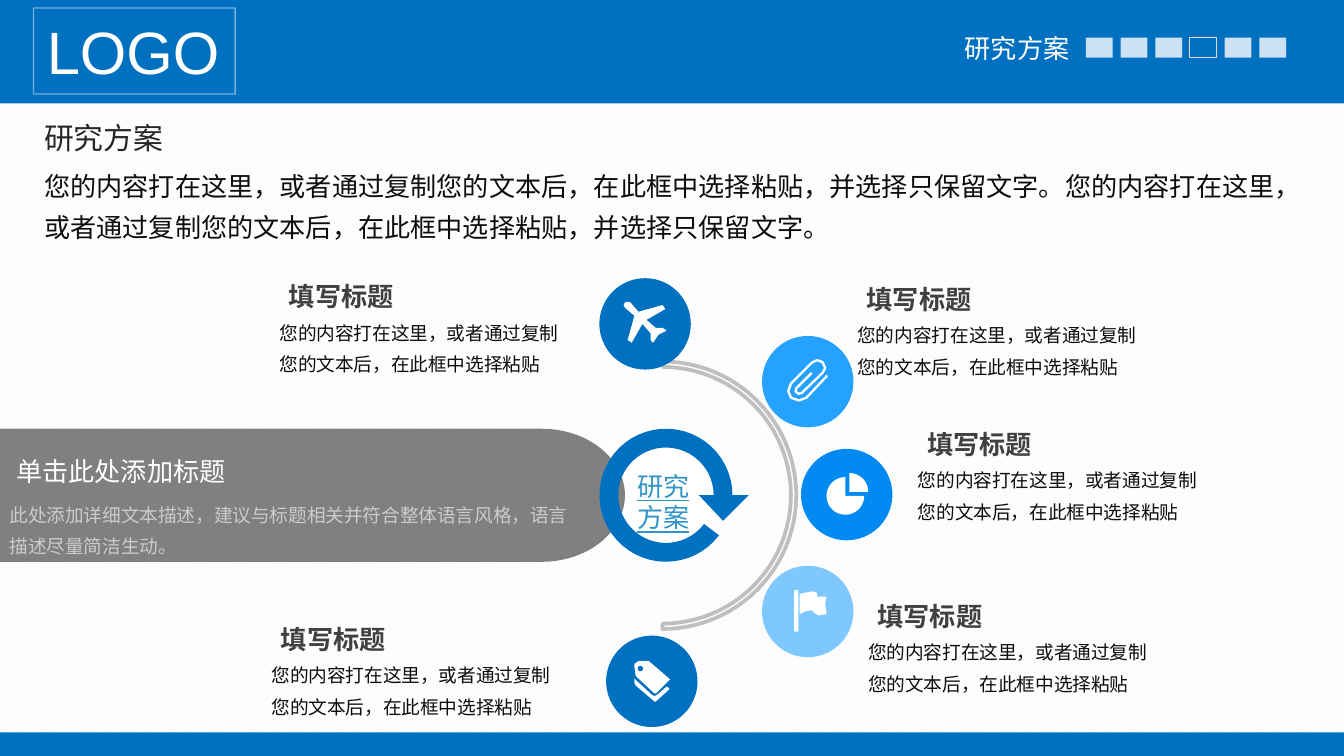
from math import cos, radians, sin

from lxml.etree import SubElement
from pptx import Presentation
from pptx.dml.color import RGBColor
from pptx.enum.dml import MSO_PATTERN
from pptx.enum.shapes import MSO_SHAPE as Preset
from pptx.enum.text import PP_ALIGN as Align
from pptx.oxml.ns import qn
from pptx.util import Inches, Pt

CELL = Inches(0.1)
COLUMNS, ROWS = 100, 56.25
BLUE, WHITE, INK = "0070C0", "FFFFFF", "0D0D0D"
CAPTION = "您的内容打在这里，或者通过复制您的文本后，在此框中选择粘贴"


def cells(*counts):
    return [round(count * CELL) for count in counts]


def inside(box, left, top, width, height):
    return box[0] + left, box[1] + top, width, height


def arc(x, y, radius, start, end, radius_y=None, steps=48):
    angles = [radians(start + (end - start) * i / steps) for i in range(steps + 1)]
    return [(x + radius * cos(a), y + (radius_y or radius) * sin(a)) for a in angles]


def set_color(target, color, opacity=100):
    target.rgb = RGBColor.from_string(color)
    if opacity < 100:
        srgb = next(target._xFill.iter(qn("a:srgbClr")))
        SubElement(srgb, qn("a:alpha")).set("val", str(opacity * 1000))


def paint(shape, fill=None, line=None, weight=1, opacity=100):
    if fill:
        shape.fill.solid()
        set_color(shape.fill.fore_color, fill, opacity)
    else:
        shape.fill.background()
    if line:
        shape.line.width = Pt(weight)
        shape.line.fill.solid()
        set_color(shape.line.fill.fore_color, line, opacity)
    else:
        shape.line.fill.background()


def draw(slide, preset, box, **style):
    shape = slide.shapes.add_shape(preset, *cells(*box))
    shape.shadow.inherit = False
    paint(shape, **style)


def outline(slide, box, points, close=True, **style):
    corners = [cells(box[0] + x, box[1] + y) for x, y in points]
    builder = slide.shapes.build_freeform(*corners[0], scale=1.0)
    builder.add_line_segments(corners[1:], close=close)
    shape = builder.convert_to_shape()
    shape.shadow.inherit = False
    paint(shape, **style)


def write(slide, content, box, size=14, color=WHITE, opacity=100, bold=False,
          underline=False, align=Align.LEFT, spacing=None, margins=(0.5, 0.5), wrap=True):
    label = slide.shapes.add_textbox(*cells(*box))
    frame = label.text_frame
    frame.word_wrap = wrap
    frame.margin_left = frame.margin_right = cells(margins[0])[0]
    frame.margin_top = frame.margin_bottom = cells(margins[1])[0]
    paragraph = frame.paragraphs[0]
    paragraph.alignment = align
    paragraph.line_spacing = spacing
    run = paragraph.add_run()
    run.text = content
    run.font.name = "Arial"
    run.font.size = Pt(size)
    run.font.bold = bold
    run.font.underline = underline
    run.font.fill.solid()
    set_color(run.font.fill.fore_color, color, opacity)
    return label


def header(slide, box):
    draw(slide, Preset.RECTANGLE, box, fill=BLUE)
    write(slide, "研究方案", inside(box, 70.8, 1.9, 10, 3.4), margins=(1, 0.5), wrap=False)
    for step in range(6):
        style = {"line": "D9D9D9", "weight": 0.5} if step == 3 else {"fill": WHITE, "opacity": 80}
        draw(slide, Preset.RECTANGLE, inside(box, 80.8 + step * 2.58, 2.8, 2, 1.5), **style)
    logo = write(slide, "LOGO", inside(box, 2.5, 0.6, 15, 6.4), size=32, margins=(1, 0.5), wrap=False)
    paint(logo, line=WHITE, weight=0.75, opacity=46)


def introduction(slide, box):
    write(slide, "研究方案", inside(box, 0, 0, 11, 3.7), size=16, color="262626",
          margins=(1, 0.5), wrap=False)
    sentence = "您的内容打在这里，或者通过复制您的文本后，在此框中选择粘贴，并选择只保留文字。"
    write(slide, sentence * 2, inside(box, 0, 3.1, box[2], 7.2), color=INK,
          spacing=1.3, margins=(1, 0.5))


def orbit(slide, box):
    radius = box[3] / 2
    outline(slide, box, arc(0, radius, radius, -90, 90) + arc(0, radius, radius - 0.4, 90, -90),
            line="BFBFBF", weight=2)


def topic_tab(slide, box):
    width, height = box[2:]
    end = arc(width - 6.2, height / 2, 6.2, -90, 90, radius_y=height / 2)
    outline(slide, box, [(0, 0)] + end + [(0, height)], fill="808080")
    write(slide, "单击此处添加标题", inside(box, 0.7, 1.5, 34.1, 3.4))
    write(slide, "此处添加详细文本描述，建议与标题相关并符合整体语言风格，语言描述尽量简洁生动。",
          inside(box, 0.7, 4.9, 42.8, 4.7), size=10, opacity=60, spacing=1.4, margins=(0, 0))


def hub(slide, box):
    middle = box[3] / 2
    ring = arc(middle, middle, middle, 0, -323) + arc(middle, middle, 3.55, -323, 0)
    head = [(7.4, middle), (9.2, middle + 1.9), (11.1, middle)]
    outline(slide, box, ring + head, fill=BLUE)
    write(slide, "研究方案", inside(box, 1.6, 2.6, 6.3, 5.7), color="3194C6",
          underline=True, align=Align.CENTER)


def caption(slide, box):
    write(slide, "填写标题", inside(box, 0.2, 0, 22.6, 3.3), color="404040", bold=True, spacing=Pt(16))
    write(slide, CAPTION, inside(box, 0, 2.75, 21.6, 4.7), size=10, color=INK,
          spacing=1.4, margins=(0, 0))


def badge(slide, box, color, icon):
    draw(slide, Preset.OVAL, box, fill=color)
    icon(slide, box, color)


def plane(slide, box, color):
    outline(slide, box, [
        (4.7, 3.7), (4.2, 3.7), (3.5, 3.1), (4.9, 2.3), (4.7, 2), (2.9, 2.5), (2.3, 1.8),
        (2.1, 1.75), (1.9, 1.8), (1.8, 2), (1.9, 2.2), (2.6, 2.8), (2.1, 4.6), (2.4, 4.8),
        (3.2, 3.4), (3.8, 4.1), (3.8, 4.6), (4, 4.8), (4.4, 4.2), (5, 3.9)], fill=WHITE)


def paperclip(slide, box, color):
    outline(slide, box, [
        (4.85, 2.95), (3.3, 4.6), (2.75, 4.8), (2.15, 4.6), (1.95, 4.1), (2.15, 3.55),
        (3.7, 2), (4.1, 1.8), (4.5, 1.95), (4.7, 2.4), (4.5, 2.75), (2.95, 4.25),
        (2.7, 4.3), (2.5, 4.15), (2.55, 3.9), (3.7, 2.75)], close=False, line=WHITE, weight=1.25)


def pie(slide, box, color):
    outline(slide, box, [(3.3, 3.5)] + arc(3.3, 3.5, 1.4, 0, 270), fill=WHITE)
    outline(slide, box, [(3.6, 3.2)] + arc(3.6, 3.2, 1.4, 270, 360), fill=WHITE)


def flag(slide, box, color):
    outline(slide, box, [
        (4.8, 2.3), (4.1, 2.3), (4.1, 2), (3.7, 1.9), (2.8, 2.1), (2.8, 3.6), (3.2, 3.4),
        (3.7, 3.3), (3.9, 3.5), (4.2, 3.7), (4.8, 3.6), (4.7, 2.8)], fill=WHITE)
    draw(slide, Preset.ROUNDED_RECTANGLE, inside(box, 2.4, 1.8, 0.3, 3.1), fill=WHITE)


def tags(slide, box, color):
    outline(slide, box, [
        (2.1, 3.2), (2.1, 3.5), (2.2, 3.7), (3.6, 4.9), (3.7, 4.9), (4.7, 4), (4.7, 3.9),
        (4.5, 3.8), (3.8, 4.4), (3.6, 4.5), (3.4, 4.4)], fill=WHITE)
    outline(slide, box, [
        (3.3, 2), (3.2, 1.9), (2.4, 1.9), (2.1, 2.1), (2.1, 2.3), (2.2, 3), (3.6, 4.3),
        (3.7, 4.3), (4.75, 3.25), (4.7, 3.2)], fill=WHITE)
    draw(slide, Preset.OVAL, inside(box, 2.35, 2.25, 0.4, 0.4), fill=color)


def main():
    deck = Presentation()
    deck.slide_width, deck.slide_height = cells(COLUMNS, ROWS)
    slide = deck.slides.add_slide(deck.slide_layouts[6])
    backdrop = slide.background.fill
    backdrop.patterned()
    backdrop.pattern = MSO_PATTERN.LIGHT_UPWARD_DIAGONAL
    set_color(backdrop.fore_color, "F2F2F2")
    set_color(backdrop.back_color, WHITE)

    header(slide, (0, 0, COLUMNS, 7.7))
    draw(slide, Preset.RECTANGLE, (0, 54.5, COLUMNS, ROWS - 54.5), fill=BLUE)
    introduction(slide, (2.3, 8.4, 94.2, 10.3))
    orbit(slide, (49.3, 26.9, 10, 19.9))
    draw(slide, Preset.OVAL, (43.6, 31.9, 9.9, 9.9), fill=WHITE)
    topics = [
        ((44.6, 20.7), BLUE, plane, (20.8, 20.5)),
        ((56.7, 25), "25A2FF", paperclip, (63.8, 20.7)),
        ((59.6, 33.4), "008AF2", pie, (68.3, 31.5)),
        ((56.7, 42.1), "7FC8FF", flag, (64.6, 44.3)),
        ((45.1, 47.3), BLUE, tags, (20.2, 46)),
    ]
    for badge_corner, color, icon, caption_corner in topics:
        badge(slide, (*badge_corner, 6.8, 6.8), color, icon)
        caption(slide, (*caption_corner, 22.8, 7.4))
    topic_tab(slide, (0, 31.9, 46.5, 9.9))
    hub(slide, (44.6, 31.9, 11.1, 9.9))
    deck.save("out.pptx")


if __name__ == "__main__":
    main()
